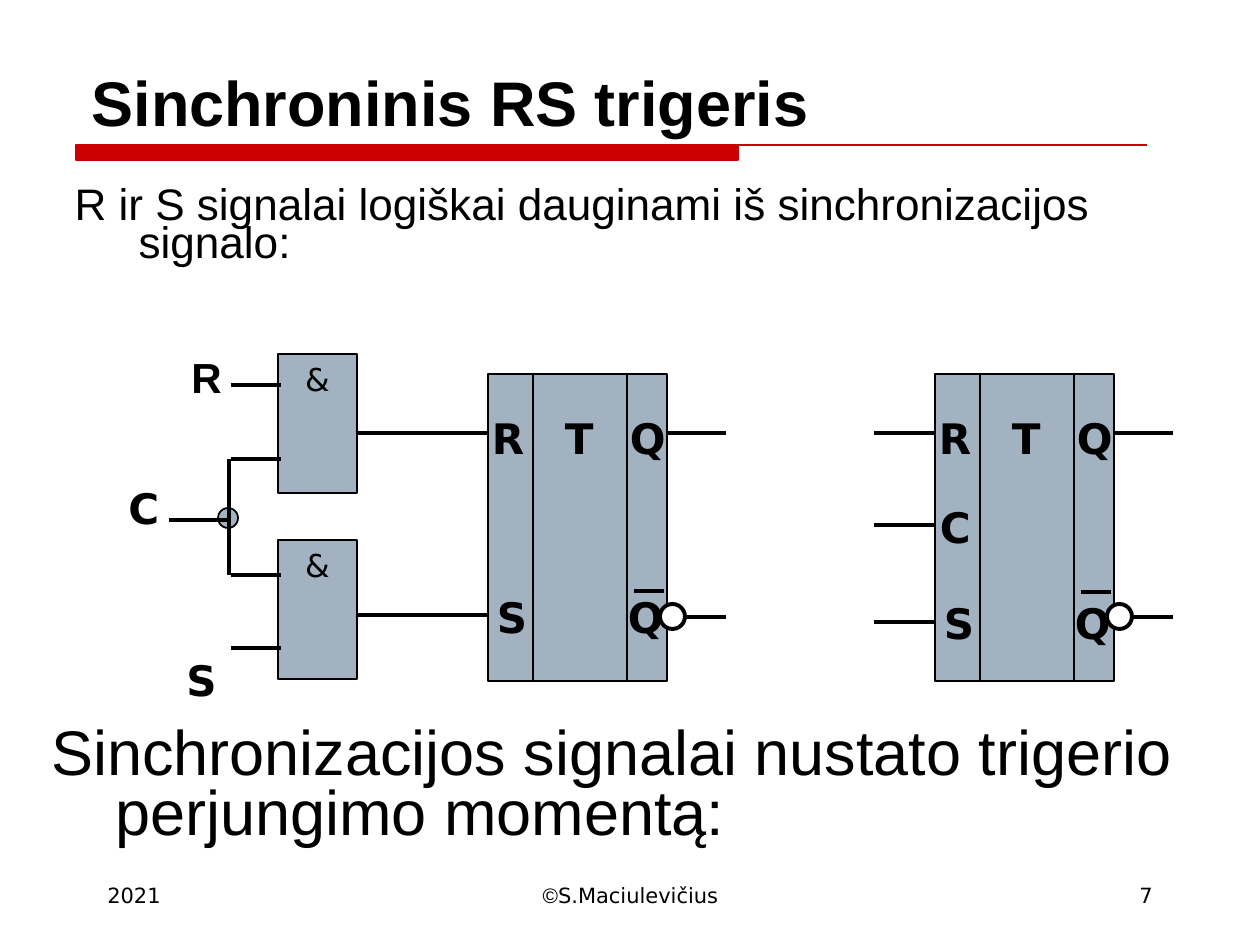
import dataclasses

import pptx
import pptx.dml.color
import pptx.enum.shapes
import pptx.enum.text
import pptx.oxml.ns
import pptx.util
from lxml import etree

ALIGN = pptx.enum.text.PP_ALIGN
ANCHOR = pptx.enum.text.MSO_ANCHOR
SHAPE = pptx.enum.shapes.MSO_SHAPE


@dataclasses.dataclass(frozen=True)
class Theme:
    """Colours, fonts, type sizes and line widths of the slide."""

    ink: str = "000000"
    accent: str = "CC0000"
    block: str = "A3B2C1"
    paper: str = "FFFFFF"
    sans: str = "Arial"
    label: str = "DejaVu Sans"
    title: float = 36
    body: float = 25.2
    pin: float = 24
    gate: float = 18
    footer: float = 12
    thin: float = 1
    wire: float = 2.25


def px(length):
    """Turn pixels into EMU."""
    return pptx.util.Emu(round(length * 914400 / 126))


class SlideBuilder:
    """Draws elements on the current page in one style."""

    def __init__(self, deck, theme):
        """Start a page with title and body placeholders."""
        self.theme = theme
        self.page = deck.slides.add_slide(deck.slide_layouts[1])

    def color(self, value):
        """Return an RGB colour."""
        return pptx.dml.color.RGBColor.from_string(value)

    def style(self, para, size, font, bold=False, align=ALIGN.LEFT):
        """Format a whole paragraph."""
        para.alignment = align
        para.font.size = pptx.util.Pt(size)
        para.font.name = font
        para.font.bold = bold
        para.font.color.rgb = self.color(self.theme.ink)

    def place(self, box, left, top, width, height):
        """Move and size a placeholder."""
        box.left, box.top, box.width, box.height = map(px, (left, top, width, height))
        box.text_frame.auto_size = pptx.enum.text.MSO_AUTO_SIZE.NONE

    def title(self, text, *area):
        """Fill the title placeholder."""
        box = self.page.shapes.title
        self.place(box, *area)
        box.text_frame.text = text
        box.text_frame.vertical_anchor = ANCHOR.BOTTOM
        self.style(box.text_frame.paragraphs[0], self.theme.title, self.theme.sans, True)

    def hang(self, para, text, size, spacing):
        """Write a tight paragraph with a hanging indent."""
        para.text = text
        properties = para._p.get_or_add_pPr()
        properties.set("marL", str(px(64)))
        properties.set("indent", str(-px(64)))
        para.line_spacing = spacing
        etree.SubElement(properties, pptx.oxml.ns.qn("a:buNone"))
        self.style(para, size, self.theme.sans)

    def body(self, text, *area):
        """Fill the body placeholder."""
        box = self.page.placeholders[1]
        self.place(box, *area)
        para = box.text_frame.paragraphs[0]
        para.space_before = pptx.util.Pt(0)
        self.hang(para, text, self.theme.body, 0.7)

    def text(self, text, left, top, width, height, size, font=None,
             bold=False, align=ALIGN.LEFT, wrap=True):
        """Add a text box and return its paragraph."""
        box = self.page.shapes.add_textbox(*map(px, (left, top, width, height)))
        box.text_frame.word_wrap = wrap
        para = box.text_frame.paragraphs[0]
        para.text = text
        self.style(para, size, font or self.theme.label, bold, align)
        return para

    def statement(self, text, *area):
        """Add a large closing sentence."""
        box = self.page.shapes.add_textbox(*map(px, area))
        box.text_frame.word_wrap = True
        self.hang(box.text_frame.paragraphs[0], text, self.theme.title, 0.8)

    def shape(self, kind, left, top, width, height, fill, width_pt, line=None):
        """Add a filled preset shape."""
        box = self.page.shapes.add_shape(kind, *map(px, (left, top, width, height)))
        box.shadow.inherit = False
        box.fill.solid()
        box.fill.fore_color.rgb = self.color(fill)
        box.line.color.rgb = self.color(line or self.theme.ink)
        box.line.width = pptx.util.Pt(width_pt)
        return box

    def line(self, x1, y1, x2, y2, width_pt=None, color=None):
        """Add a straight line, a wire by default."""
        wire = self.page.shapes.add_connector(
            pptx.enum.shapes.MSO_CONNECTOR.STRAIGHT, *map(px, (x1, y1, x2, y2)))
        wire.line.width = pptx.util.Pt(width_pt or self.theme.wire)
        wire.line.color.rgb = self.color(color or self.theme.ink)
        etree.SubElement(wire._element.spPr, pptx.oxml.ns.qn("a:effectLst"))

    def gate(self, left, top, inputs):
        """Add an AND gate with its input wires."""
        box = self.shape(SHAPE.RECTANGLE, left, top, 79, 139, self.theme.block, self.theme.thin)
        box.text_frame.vertical_anchor = ANCHOR.TOP
        para = box.text_frame.paragraphs[0]
        para.text = "&"
        self.style(para, self.theme.gate, self.theme.label, align=ALIGN.CENTER)
        for y in inputs:
            self.line(231, y, 281, y)

    def flip_flop(self, left, rows, inputs, bar):
        """Add a flip-flop with pin rows, wires and an inverted output."""
        top, width, height = 374, 179, 307
        box = self.shape(SHAPE.RECTANGLE, left, top, width, height,
                         self.theme.block, self.theme.thin)
        frame = box.text_frame
        frame.word_wrap = True
        frame.vertical_anchor = ANCHOR.TOP
        frame.margin_left = frame.margin_right = frame.margin_bottom = 0
        frame.margin_top = px(39)
        for index, (gap, pins) in enumerate(rows):
            para = frame.add_paragraph() if index else frame.paragraphs[0]
            para.text = "".join("\t" + name for name, stop in pins)
            para.space_before = pptx.util.Pt(gap)
            stops = etree.SubElement(para._p.get_or_add_pPr(), pptx.oxml.ns.qn("a:tabLst"))
            for name, stop in pins:
                etree.SubElement(stops, pptx.oxml.ns.qn("a:tab"), pos=str(px(stop)), algn="l")
            self.style(para, self.theme.pin, self.theme.label, True)
        for offset in (45, 139):
            self.line(left + offset, top, left + offset, top + height, self.theme.thin)
        for start, y in inputs:
            self.line(start, y, left, y)
        self.line(left + 146, bar, left + 176, bar)
        self.line(left + width, 433, left + 238, 433)
        self.line(left + 197, 617, left + 238, 617)
        self.shape(SHAPE.OVAL, left + 172, 604, 25, 25, self.theme.paper, self.theme.wire)


def main():
    """Build the slide about the synchronous RS flip-flop."""
    deck = pptx.Presentation()
    deck.slide_width, deck.slide_height = px(1260), px(945)
    theme = Theme()
    slide = SlideBuilder(deck, theme)

    slide.shape(SHAPE.RECTANGLE, 76, 145, 662, 15, theme.accent, 0.75, theme.accent)
    slide.line(76, 145, 1147, 145, 0.75, theme.accent)
    slide.title("Sinchroninis RS trigeris", 79, 42, 1103, 103)
    slide.body("R ir S signalai logiškai dauginami iš sinchronizacijos signalo:",
               62, 185, 1134, 89)

    first = (0, (("R", 4), ("T", 77), ("Q", 142)))
    last = (("S", 9), ("Q", 140))
    slide.flip_flop(935, (first, (22, (("C", 5),)), (26, last)),
                    ((874, 433), (874, 525), (874, 622)), 592)
    slide.flip_flop(488, (first, (73, last)), ((358, 433), (358, 615)), 591)

    slide.gate(278, 354, (385, 459))
    slide.gate(278, 540, (575, 648))
    slide.shape(SHAPE.OVAL, 218, 508, 20, 20, theme.block, theme.thin)
    slide.line(169, 520, 229, 520)
    slide.line(229, 459, 229, 575)
    for name, left, top, width, font in (("R", 179, 345, 55, theme.sans),
                                         ("S", 174, 648, 48, theme.label),
                                         ("C", 116, 476, 52, theme.label)):
        slide.text(name, left, top, width, 63, theme.pin, font, bold=True, wrap=False)

    slide.statement("Sinchronizacijos signalai nustato trigerio perjungimo momentą:",
                    39, 721, 1177, 149)
    slide.text("2021", 95, 876, 262, 63, theme.footer)
    owner = slide.text("©", 431, 876, 399, 63, theme.footer, theme.sans, align=ALIGN.CENTER)
    span = owner.add_run()
    span.text = "S.Maciulevičius"
    span.font.name = theme.label
    slide.text("7", 903, 876, 262, 63, theme.footer, align=ALIGN.RIGHT)
    deck.save("out.pptx")


if __name__ == "__main__":
    main()
